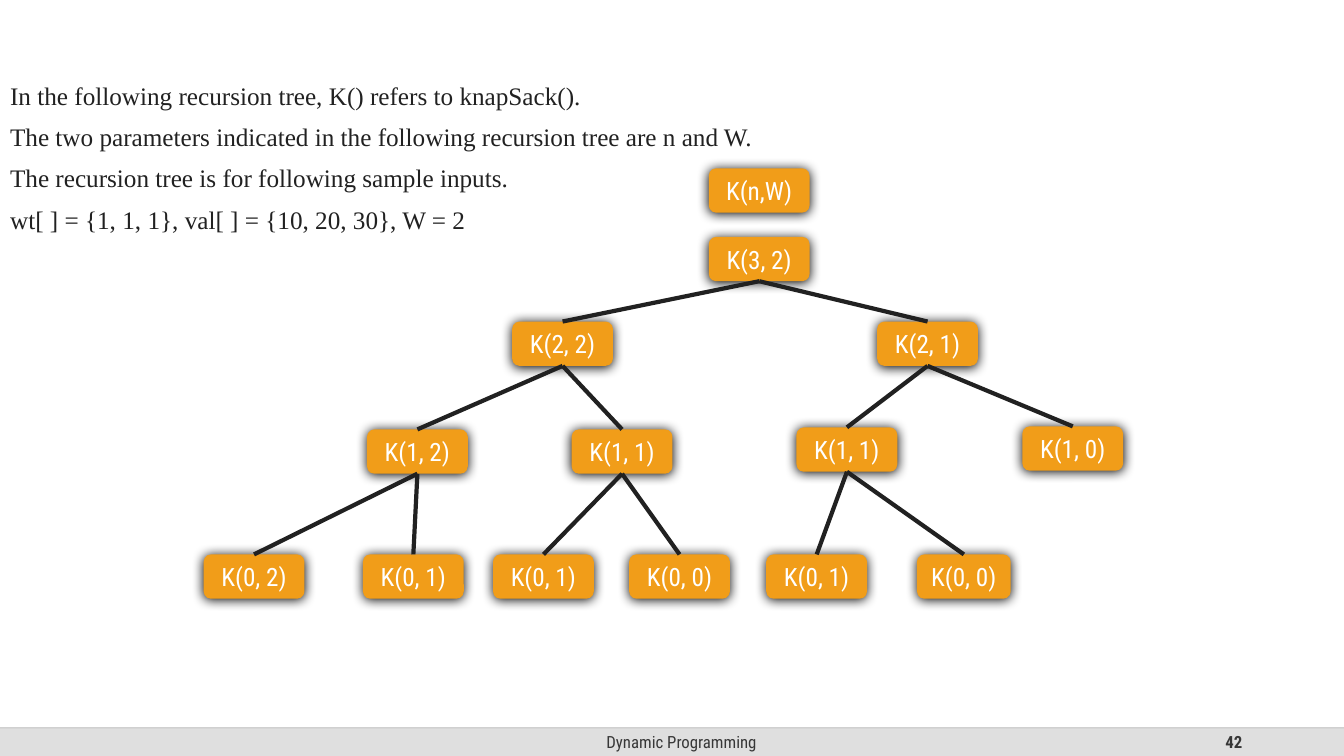
from lxml.etree import SubElement
from pptx import Presentation
from pptx.dml.color import RGBColor
from pptx.enum.shapes import MSO_CONNECTOR, MSO_SHAPE
from pptx.enum.text import MSO_ANCHOR, MSO_AUTO_SIZE, PP_ALIGN
from pptx.oxml.ns import qn
from pptx.util import Inches, Pt

COLORS = {
    "node": "F19D19",
    "node_text": "FFFFFF",
    "ink": "212121",
    "footer": "DFDFDF",
    "footer_text": "373737",
    "footer_rule": "BFBFBF",
    "shadow": "000000",
}
SANS = "Roboto Condensed"
SERIF = "Times New Roman"
NODE_WIDTH, NODE_HEIGHT = 1, 0.44
SLIDE_WIDTH, SLIDE_HEIGHT = 13.33, 7.5
FOOTER_TOP, FOOTER_HEIGHT = 7.22, 0.28
TOP_SITE, BOTTOM_SITE = 0, 2

INTRO = [
    "In the following recursion tree, K() refers to knapSack().",
    "The two parameters indicated in the following recursion tree are n and W.",
    "The recursion tree is for following sample inputs.",
    "wt[ ] = {1, 1, 1}, val[ ] = {10, 20, 30}, W = 2",
]

# Each call: label, centre x, top, child calls
RECURSION_TREE = ("K(3, 2)", 7.53, 2.35, [
    ("K(2, 2)", 5.58, 3.19, [
        ("K(1, 2)", 4.14, 4.26, [
            ("K(0, 2)", 2.52, 5.5, []),
            ("K(0, 1)", 4.1, 5.5, []),
        ]),
        ("K(1, 1)", 6.17, 4.26, [
            ("K(0, 1)", 5.39, 5.5, []),
            ("K(0, 0)", 6.74, 5.5, []),
        ]),
    ]),
    ("K(2, 1)", 9.2, 3.19, [
        ("K(1, 1)", 8.4, 4.24, [
            ("K(0, 1)", 8.1, 5.5, []),
            ("K(0, 0)", 9.56, 5.5, [], 0.93),
        ]),
        ("K(1, 0)", 10.64, 4.23, []),
    ]),
])


def rgb(name):
    return RGBColor.from_string(COLORS[name])


def write(paragraph, text, *, size=18, font=SANS, color="ink", bold=False,
          align=PP_ALIGN.CENTER):
    paragraph.alignment = align
    run = paragraph.add_run()
    run.text = text
    run.font.size = Pt(size)
    run.font.name = font
    run.font.bold = bold
    run.font.color.rgb = rgb(color)


def add_box(slide, shape_type, left, top, width, height, fill):
    box = slide.shapes.add_shape(
        shape_type, Inches(left), Inches(top), Inches(width), Inches(height))
    box.shadow.inherit = False
    box.fill.solid()
    box.fill.fore_color.rgb = rgb(fill)
    box.line.fill.background()
    return box


def add_line(slide, start, end, color, width):
    line = slide.shapes.add_connector(
        MSO_CONNECTOR.STRAIGHT, *(Inches(value) for value in (*start, *end)))
    line.line.color.rgb = rgb(color)
    line.line.width = Pt(width)
    SubElement(line._element.spPr, qn("a:effectLst"))
    return line


def add_glow(box):
    """Give the box a soft dark shadow just below it."""
    effects = box._element.spPr.find(qn("a:effectLst"))
    shadow = SubElement(effects, qn("a:outerShdw"), blurRad=str(Pt(8.5)),
                        dist=str(Pt(1)), dir="5400000", rotWithShape="0")
    SubElement(shadow, qn("a:srgbClr"), val=COLORS["shadow"])


def add_node(slide, label, center, top, width=NODE_WIDTH):
    node = add_box(slide, MSO_SHAPE.ROUNDED_RECTANGLE, center - width / 2, top,
                   width, NODE_HEIGHT, "node")
    add_glow(node)
    frame = node.text_frame
    frame.vertical_anchor = MSO_ANCHOR.MIDDLE
    write(frame.paragraphs[0], label, color="node_text")
    return node


def add_tree(slide, call):
    """Draw a call and its subtree; return its node and the edges below it."""
    label, center, top, children, *width = call
    node = add_node(slide, label, center, top, *width)
    edges = []
    for child in children:
        child_node, child_edges = add_tree(slide, child)
        edges += [(node, child_node), *child_edges]
    return node, edges


def add_edge(slide, parent, child):
    edge = add_line(slide, (0, 0), (1, 1), "ink", 3)
    edge.begin_connect(parent, BOTTOM_SITE)
    edge.end_connect(child, TOP_SITE)


def add_footer_text(slide, text, left, width, **style):
    label = slide.shapes.add_textbox(Inches(left), Inches(FOOTER_TOP),
                                     Inches(width), Inches(FOOTER_HEIGHT))
    frame = label.text_frame
    frame.word_wrap = True
    frame.vertical_anchor = MSO_ANCHOR.MIDDLE
    write(frame.paragraphs[0], text, size=12, color="footer_text", **style)


def add_footer(slide):
    add_box(slide, MSO_SHAPE.RECTANGLE, 0, FOOTER_TOP, SLIDE_WIDTH,
            FOOTER_HEIGHT, "footer")
    add_footer_text(slide, "Dynamic Programming", 4.42, 4.68)
    add_footer_text(slide, "42", 9.42, 3, bold=True, align=PP_ALIGN.RIGHT)
    rule = add_line(slide, (0, FOOTER_TOP), (SLIDE_WIDTH, FOOTER_TOP),
                    "footer_rule", 1)
    color = next(rule._element.spPr.iter(qn("a:srgbClr")))
    SubElement(color, qn("a:alpha"), val="70000")


def fill_intro(body):
    body.left, body.top = Inches(0), Inches(0.78)
    body.width, body.height = Inches(9.2), Inches(1.79)
    frame = body.text_frame
    frame.auto_size = MSO_AUTO_SIZE.NONE
    frame.word_wrap = True
    for index, text in enumerate(INTRO):
        paragraph = frame.add_paragraph() if index else frame.paragraphs[0]
        properties = paragraph._p.get_or_add_pPr()
        properties.set("marL", "0")
        properties.set("indent", "0")
        SubElement(properties, qn("a:buNone"))
        paragraph.line_spacing = 0.9
        paragraph.space_before = Pt(10 if index else 0)
        write(paragraph, text, font=SERIF, align=PP_ALIGN.JUSTIFY)


def main():
    deck = Presentation()
    deck.slide_width = Inches(SLIDE_WIDTH)
    deck.slide_height = Inches(SLIDE_HEIGHT)
    slide = deck.slides.add_slide(deck.slide_layouts[1])
    title = slide.shapes.title._element
    title.getparent().remove(title)

    fill_intro(slide.placeholders[1])
    add_footer(slide)
    add_node(slide, "K(n,W)", 7.53, 1.67)
    _, edges = add_tree(slide, RECURSION_TREE)
    for parent, child in edges:
        add_edge(slide, parent, child)
    deck.save("out.pptx")


if __name__ == "__main__":
    main()
